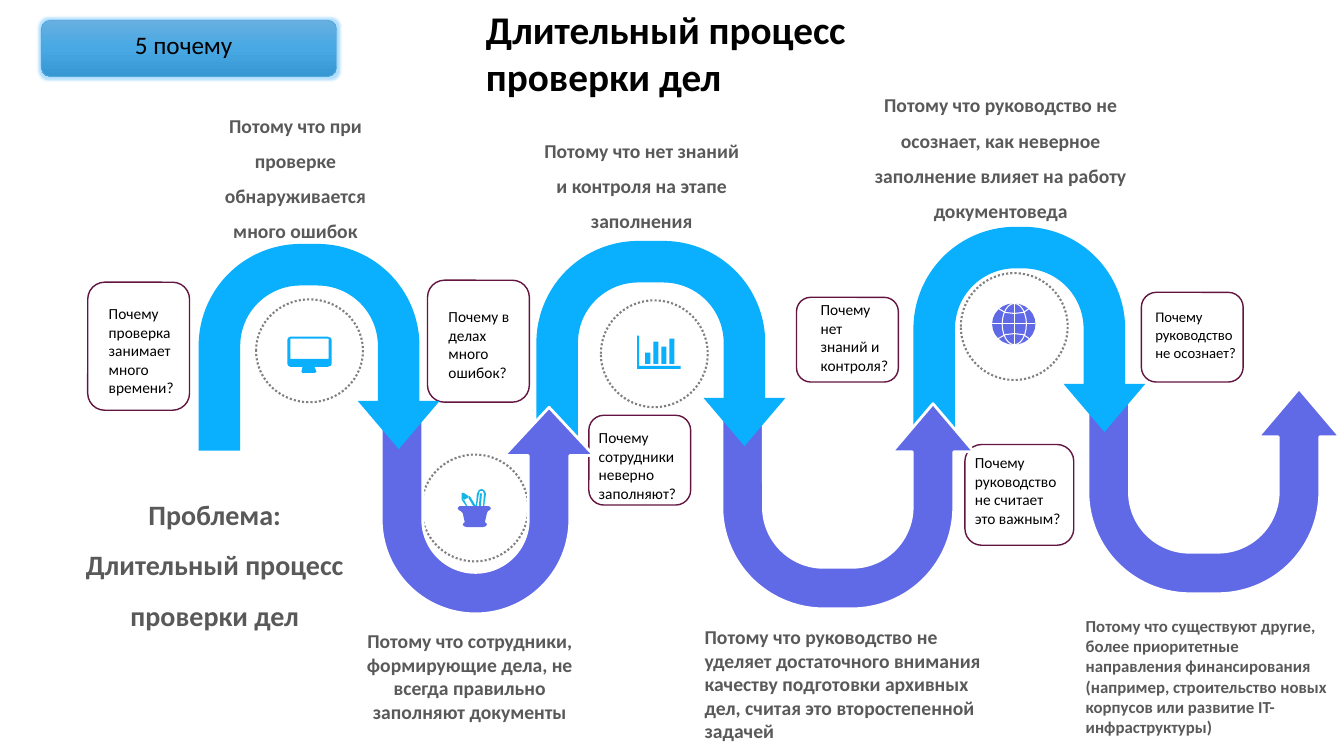
from copy import deepcopy
from typing import NamedTuple, Optional

from lxml import etree
from pptx import Presentation
from pptx import slide as sl, util as u
from pptx.dml import color
from pptx.enum import dml as line_styles, shapes, text
from pptx.oxml import ns
from pptx.shapes import autoshape
from pptx.text import text as frames

COLORS = {
    "sky": "0AAFFE", "violet": "6069E6", "pencil": "17B5E5", "white": "FFFFFF",
    "black": "000000", "answer": "595959", "frame": "631440", "ring": "808080",
    "badge_top": "68B0E1", "badge_middle": "47A8E3", "badge_bottom": "3797D2",
    "badge_line": "4EA6DC", "glow": "7FCBFF",
}
CENTER, LEFT = text.PP_ALIGN.CENTER, text.PP_ALIGN.LEFT
KINDS = shapes.MSO_SHAPE


class Area(NamedTuple):
    left: float
    top: float
    width: float
    height: float


class Stroke(NamedTuple):
    color: str
    width: float
    dash: Optional[line_styles.MSO_LINE] = None


class Label(NamedTuple):
    wording: str
    area: Area
    size: float = 14
    color: str = "answer"
    bold: bool = True
    align: text.PP_ALIGN = CENTER
    spacing: float = 1.0


class Question(NamedTuple):
    wording: str
    frame: Area
    label: Area
    size: float = 11


class Turn(NamedTuple):
    area: Area
    rising: bool = False
    shaft: float = 0.198
    tail: float = 0.993


class Icon(NamedTuple):
    color: str
    contours: list


ANSWERS = [
    Label("Потому что при проверке обнаруживается много ошибок", Area(1.99, 0.96, 1.88, 1.48), spacing=1.5),
    Label("Потому что нет знаний и контроля на этапе заполнения", Area(5.26, 1.21, 2.21, 1.12), spacing=1.5),
    Label("Потому что руководство не осознает, как неверное заполнение влияет на работу документоведа",
          Area(8.45, 0.76, 2.95, 1.48), spacing=1.5),
    Label("Проблема:\nДлительный процесс проверки дел", Area(0.71, 4.72, 2.84, 1.56), 20, spacing=1.5),
    Label("Потому что сотрудники, формирующие дела, не всегда правильно заполняют документы",
          Area(3.41, 6.19, 2.5, 1.04)),
    Label("Потому что руководство не уделяет достаточного внимания качеству подготовки архивных дел, "
          "считая это второстепенной задачей", Area(6.89, 6.15, 3.2, 1.28), align=LEFT),
    Label("Потому что существуют другие, более приоритетные направления финансирования "
          "(например, строительство новых корпусов или развитие IT-инфраструктуры)",
          Area(10.67, 6.06, 2.64, 1.31), 12, align=LEFT),
]
QUESTIONS = [
    Question("Почему проверка занимает много времени?", Area(0.87, 2.8, 1.01, 1.27), Area(0.98, 2.97, 0.95, 1.03)),
    Question("Почему в делах много ошибок?", Area(4.24, 2.78, 1.01, 1.21), Area(4.35, 3, 0.84, 0.84)),
    Question("Почему сотрудники неверно заполняют?", Area(5.84, 4.12, 1.01, 0.89), Area(5.84, 4.2, 1.04, 0.84)),
    Question("Почему нет знаний и контроля?", Area(7.9, 2.95, 1.01, 0.84), Area(8.04, 2.93, 0.89, 0.84)),
    Question("Почему руководство не считает это важным?", Area(9.57, 4.41, 1.08, 1), Area(9.57, 4.45, 1.05, 0.84)),
    Question("Почему руководство не осознает?", Area(11.32, 2.9, 1.01, 0.89), Area(11.36, 3.01, 1.01, 0.63), 10.5),
]
TURNS = [
    Turn(Area(10.79, 3.84, 2.5, 2.05), rising=True),
    Turn(Area(9.06, 2.25, 2.3, 2.05)),
    Turn(Area(7.16, 3.99, 2.5, 2.05), rising=True),
    Turn(Area(5.32, 2.39, 2.47, 2.05)),
    Turn(Area(3.78, 4.04, 2.11, 2.05), rising=True, shaft=0.217, tail=1),
    Turn(Area(1.97, 2.42, 2.39, 2.05)),
]
RINGS = [Area(2.54, 2.97, 1.06, 1.02), Area(5.96, 2.98, 1.06, 1.06),
         Area(4.18, 4.51, 1.06, 1.06), Area(9.53, 2.71, 1.06, 1.06)]


def bar(left: float, top: float, right: float, bottom: float) -> list:
    return [(left, top), (right, top), (right, bottom), (left, bottom)]


CHART_BARS = [bar(6.4 + 0.08 * i, top, 6.45 + 0.08 * i, 3.61) for i, top in enumerate((3.5, 3.39, 3.44, 3.36))]
ICONS = [
    Icon("sky", [[(2.85, 3.37), (2.86, 3.35), (2.88, 3.34), (3.25, 3.34), (3.28, 3.35), (3.29, 3.37), (3.29, 3.61),
                  (3.28, 3.63), (3.25, 3.64), (3.12, 3.64), (3.14, 3.69), (3.12, 3.7), (3, 3.7), (2.99, 3.69),
                  (3, 3.64), (2.88, 3.64), (2.86, 3.63), (2.85, 3.61)], bar(2.88, 3.36, 3.26, 3.56)]),
    Icon("sky", [[(6.32, 3.33), (6.34, 3.33), (6.34, 3.63), (6.75, 3.63), (6.75, 3.66), (6.32, 3.66)], *CHART_BARS]),
    Icon("pencil", [
        [(4.58, 4.89), (4.6, 4.89), (4.66, 4.93), (4.6, 4.96), (4.58, 4.96)],
        [(4.58, 4.96), (4.6, 4.95), (4.64, 5.03), (4.63, 5.03)],
        [(4.64, 4.93), (4.66, 4.92), (4.72, 5.02), (4.7, 5.03)],
        [(4.72, 5.03), (4.73, 4.9), (4.75, 4.86), (4.78, 4.85), (4.81, 4.87), (4.82, 4.9), (4.8, 5.04),
         (4.79, 5.04), (4.8, 4.9), (4.79, 4.87), (4.76, 4.87), (4.75, 4.9), (4.73, 5.03)],
        [(4.75, 5.02), (4.76, 4.9), (4.77, 4.89), (4.78, 4.9), (4.77, 5.02), (4.76, 5.03)]]),
    Icon("violet", [[(4.56, 5.02), (4.85, 5.02), (4.87, 5.04), (4.86, 5.06), (4.84, 5.07), (4.83, 5.09), (4.81, 5.18),
                     (4.83, 5.2), (4.82, 5.22), (4.79, 5.23), (4.63, 5.23), (4.6, 5.22), (4.59, 5.2), (4.61, 5.18),
                     (4.59, 5.09), (4.57, 5.07), (4.55, 5.06), (4.54, 5.04)]]),
]
NORTH_PARALLEL = [(9.9, 3.06), (9.97, 3.1), (10.06, 3.11), (10.15, 3.1), (10.21, 3.06)]
GLOBE_GRID = [[(9.84, 3.21), (10.27, 3.21)], [(10.06, 3.01), (10.06, 3.42)],
              NORTH_PARALLEL, [(x, 6.42 - y) for x, y in NORTH_PARALLEL]]


def rgb(name: str) -> color.RGBColor:
    return color.RGBColor.from_string(COLORS[name])


def paint(shape: autoshape.Shape, fill: Optional[str] = None, stroke: Optional[Stroke] = None) -> None:
    shape.shadow.inherit = False
    if fill:
        shape.fill.solid()
        shape.fill.fore_color.rgb = rgb(fill)
    else:
        shape.fill.background()
    if stroke:
        shape.line.color.rgb = rgb(stroke.color)
        shape.line.width = u.Pt(stroke.width)
        if stroke.dash:
            shape.line.dash_style = stroke.dash
    else:
        shape.line.fill.background()


def add_preset(slide: sl.Slide, kind: shapes.MSO_SHAPE, area: Area, fill: Optional[str] = None,
               stroke: Optional[Stroke] = None) -> autoshape.Shape:
    shape = slide.shapes.add_shape(kind, *map(u.Inches, area))
    paint(shape, fill, stroke)
    return shape


def add_outline(slide: sl.Slide, contours: list, fill: Optional[str] = None, stroke: Optional[Stroke] = None) -> None:
    """Draw contours as one freeform; they are closed when filled."""
    scaled = [[(u.Inches(x), u.Inches(y)) for x, y in contour] for contour in contours]
    builder = slide.shapes.build_freeform(*scaled[0][0])
    for index, (start, *rest) in enumerate(scaled):
        if index:
            builder.move_to(*start)
        builder.add_line_segments(rest, close=bool(fill))
    paint(builder.convert_to_shape(), fill, stroke)


def write(frame: frames.TextFrame, label: Label) -> None:
    frame.word_wrap = True
    frame.auto_size = text.MSO_AUTO_SIZE.NONE
    frame.vertical_anchor = text.MSO_ANCHOR.TOP
    frame.text = label.wording
    for paragraph in frame.paragraphs:
        paragraph.alignment = label.align
        paragraph.line_spacing = label.spacing
        paragraph.font.name = "Calibri"
        paragraph.font.size = u.Pt(label.size)
        paragraph.font.bold = label.bold
        paragraph.font.color.rgb = rgb(label.color)


def add_label(slide: sl.Slide, label: Label) -> None:
    write(slide.shapes.add_textbox(*map(u.Inches, label.area)).text_frame, label)


def add_title(slide: sl.Slide) -> None:
    area = Area(4.72, 0, 4.21, 1.04)
    title = slide.shapes.title
    title.left, title.top, title.width, title.height = map(u.Inches, area)
    write(title.text_frame, Label("Длительный процесс проверки дел", area, 28, "black", align=LEFT))


def add_badge(slide: sl.Slide) -> None:
    badge = add_preset(slide, KINDS.ROUNDED_RECTANGLE, Area(0.41, 0.2, 2.93, 0.56), stroke=Stroke("badge_line", 0.5))
    badge.fill.gradient()
    badge.fill.gradient_angle = 270
    stops = badge._element.spPr.find(ns.qn("a:gradFill")).find(ns.qn("a:gsLst"))
    stops.insert(1, deepcopy(stops[0]))
    for index, stop in enumerate(badge.fill.gradient_stops):
        stop.position = index / 2
        stop.color.rgb = rgb(("badge_top", "badge_middle", "badge_bottom")[index])
    effects = badge._element.spPr.find(ns.qn("a:effectLst"))
    glow = etree.SubElement(effects, ns.qn("a:glow"), rad=str(u.Pt(4)))
    tint = etree.SubElement(glow, ns.qn("a:srgbClr"), val=COLORS["glow"])
    etree.SubElement(tint, ns.qn("a:alpha"), val="60000")
    add_label(slide, Label("5 почему", Area(1.24, 0.24, 2.1, 0.71), 18, "black", False, LEFT))


def add_turn(slide: sl.Slide, turn: Turn) -> None:
    fill, stroke = ("violet", Stroke("white", 2)) if turn.rising else ("sky", None)
    arrow = add_preset(slide, KINDS.U_TURN_ARROW, turn.area, fill, stroke)
    for index, value in enumerate((0.201, turn.shaft, 0.233, 0.493, turn.tail)):
        arrow.adjustments[index] = value
    if turn.rising:
        arrow.rotation = 180
        arrow._element.spPr.find(ns.qn("a:xfrm")).set("flipH", "1")


def main() -> None:
    presentation = Presentation()
    presentation.slide_width, presentation.slide_height = u.Inches(13.33), u.Inches(7.5)
    slide = presentation.slides.add_slide(presentation.slide_layouts[5])
    add_title(slide)
    for ring in RINGS:
        add_preset(slide, KINDS.OVAL, ring, stroke=Stroke("ring", 1.5, line_styles.MSO_LINE.ROUND_DOT))
    for icon in ICONS:
        add_outline(slide, icon.contours, icon.color)
    add_preset(slide, KINDS.OVAL, Area(9.84, 3.01, 0.43, 0.41), "violet")
    add_preset(slide, KINDS.OVAL, Area(9.94, 3.01, 0.24, 0.41), stroke=Stroke("white", 0.75))
    add_outline(slide, GLOBE_GRID, stroke=Stroke("white", 0.75))
    for answer in ANSWERS:
        add_label(slide, answer)
    for question in QUESTIONS:
        add_preset(slide, KINDS.ROUNDED_RECTANGLE, question.frame, stroke=Stroke("frame", 1))
        add_label(slide, Label(question.wording, question.label, question.size, "black", False, LEFT))
    add_badge(slide)
    for turn in TURNS:
        add_turn(slide, turn)
    presentation.save("out.pptx")


if __name__ == "__main__":
    main()
